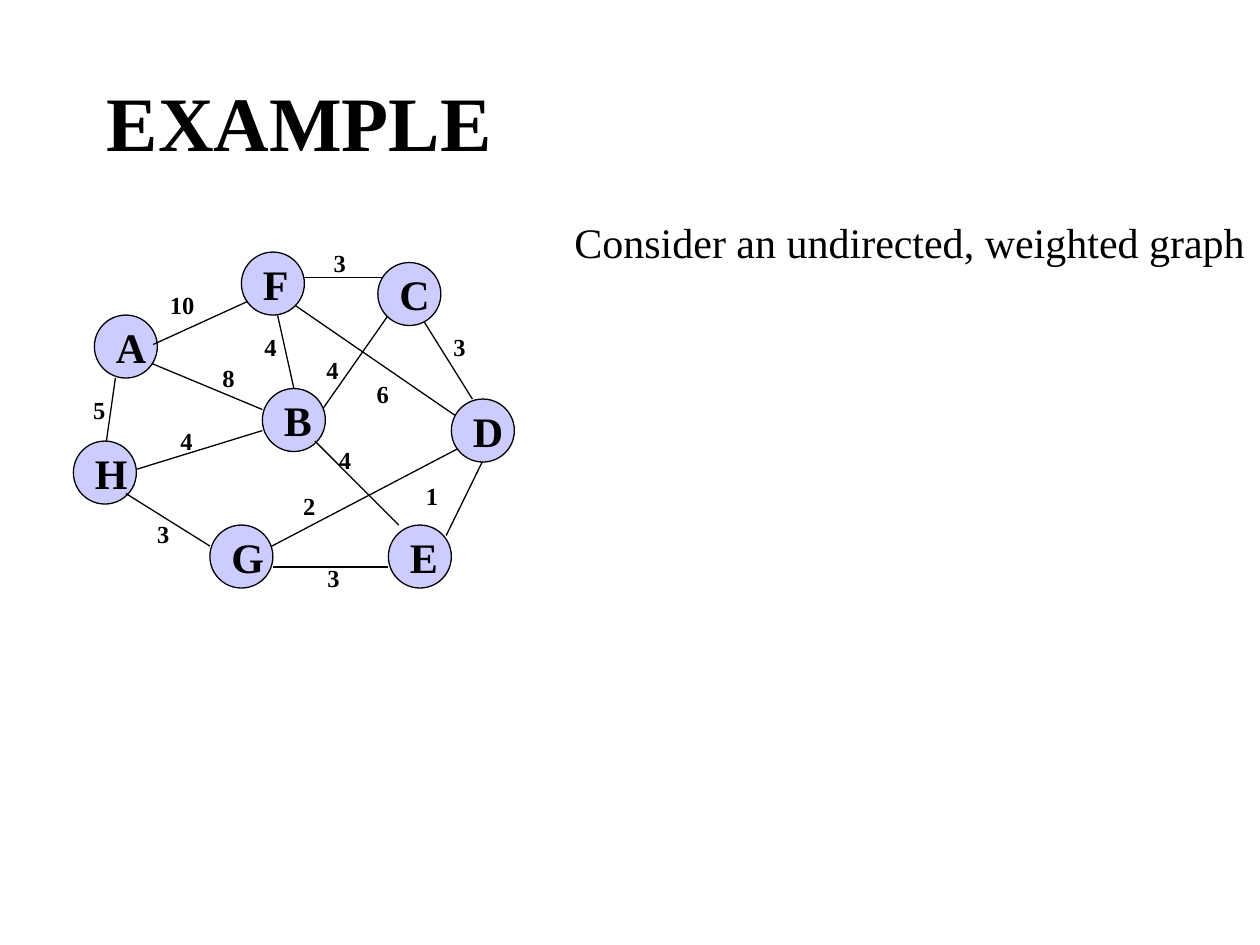
from lxml.etree import SubElement
from pptx import Presentation
from pptx.dml.color import RGBColor
from pptx.enum.shapes import MSO_CONNECTOR, MSO_SHAPE
from pptx.enum.text import MSO_ANCHOR, MSO_AUTO_SIZE, PP_ALIGN
from pptx.oxml.ns import qn
from pptx.util import Cm, Pt

COLORS = {"ink": "000000", "node": "CCCCFF"}
FONT = "Times New Roman"
UNIT = 2.54 / 12  # graph grid step in cm
NODE_SIZE = 6  # in grid steps

# Top left corner of each node, in grid steps
NODES = {"A": (2, 7), "H": (0, 19), "B": (18, 14), "F": (16, 1),
         "E": (30, 27), "D": (36, 15), "C": (29, 2), "G": (13, 27)}

# Edges as (from, to, weight, label corner, label width), in grid steps
BACK_EDGES = [
    ((40.4, 18), (35.5, 28), "1", (32.4, 22.2), 6.2),
    ((19, 5), (21, 14), "4", (17, 8), 4),
    ((23, 17), (30, 7), "4", (22.9, 10.2), 4),
    ((37, 17), (21, 6), "6", (27.7, 12.5), 6.2),
    ((5, 22), (18, 18), "4", (9, 17), 4),
    ((17, 30), (38, 19), "2", (20.7, 23.2), 4),
    ((3, 20), (4, 13), "5", (0.7, 14), 4),
    ((6, 11), (18, 16), "8", (13, 11), 4),
    ((21.6, 3.4), (29.6, 3.4), "3", (23.6, 0), 4),
    ((33, 7), (38, 15), "3", (35, 8), 4),
]
FRONT_EDGES = [
    ((23, 19), (31, 27), "4", (24.1, 18.8), 6.2),
    ((30, 31), (19, 31), "3", (23, 30), 4),
    ((13, 29), (5, 24), "3", (6.8, 25.8), 4),
    ((7.6, 9.8), (16.6, 5.7), "10", (8, 4), 6.2),
]


def rgb(name):
    return RGBColor.from_string(COLORS[name])


def write(tf, text, size, bold=False, before=0):
    p = tf.paragraphs[0]
    p.text = text
    p.alignment = PP_ALIGN.LEFT
    p.space_before = Pt(before)
    p.font.name, p.font.size, p.font.bold = FONT, Pt(size), bold
    p.font.color.rgb = rgb("ink")


def add_title(s, text, x, y, w, h):
    title = s.shapes.title
    title.left, title.top, title.width, title.height = Cm(x), Cm(y), Cm(w), Cm(h)
    title.text_frame.vertical_anchor = MSO_ANCHOR.MIDDLE
    write(title.text_frame, text, 44, bold=True)


def add_text(s, text, x, y, w, h, size, bold=False):
    tf = s.shapes.add_textbox(Cm(x), Cm(y), Cm(w), Cm(h)).text_frame
    tf.word_wrap = True
    tf.auto_size = MSO_AUTO_SIZE.SHAPE_TO_FIT_TEXT
    write(tf, text, size, bold, before=size * 0.625)


def add_graph(s, x, y):
    def place(point):
        return x + point[0] * UNIT, y + point[1] * UNIT

    def add_edge(start, end):
        ends = [Cm(v) for v in place(start) + place(end)]
        line = s.shapes.add_connector(MSO_CONNECTOR.STRAIGHT, *ends)
        line.line.color.rgb = rgb("ink")
        line.line.width = Pt(0.74)
        SubElement(line._element.spPr, qn("a:effectLst"))

    def add_node(name, corner):
        left, top = place(corner)
        size = Cm(NODE_SIZE * UNIT)
        sp = s.shapes.add_shape(MSO_SHAPE.OVAL, Cm(left), Cm(top), size, size)
        sp.shadow.inherit = False
        sp.fill.solid()
        sp.fill.fore_color.rgb = rgb("node")
        sp.line.color.rgb = rgb("ink")
        sp.line.width = Pt(0.74)
        sp.text_frame.word_wrap = False
        sp.text_frame.vertical_anchor = MSO_ANCHOR.MIDDLE
        write(sp.text_frame, name, 24, bold=True)

    for start, end, *_ in BACK_EDGES:
        add_edge(start, end)
    for name, corner in NODES.items():
        add_node(name, corner)
    for start, end, *_ in FRONT_EDGES:
        add_edge(start, end)
    # Edge weights
    for _, _, weight, corner, width in BACK_EDGES + FRONT_EDGES:
        add_text(s, weight, *place(corner), width * UNIT, 0.86, 14, bold=True)


prs = Presentation()
prs.slide_width, prs.slide_height = Cm(25.4), Cm(19.05)
s = prs.slides.add_slide(prs.slide_layouts[5])  # title only

add_title(s, "EXAMPLE", 1.9, 0.84, 21.6, 3.18)
add_text(s, "Consider an undirected, weighted graph", 11.33, 4.24, 14.07, 1.27, 24)
add_graph(s, 1.48, 4.87)

prs.save("out.pptx")
